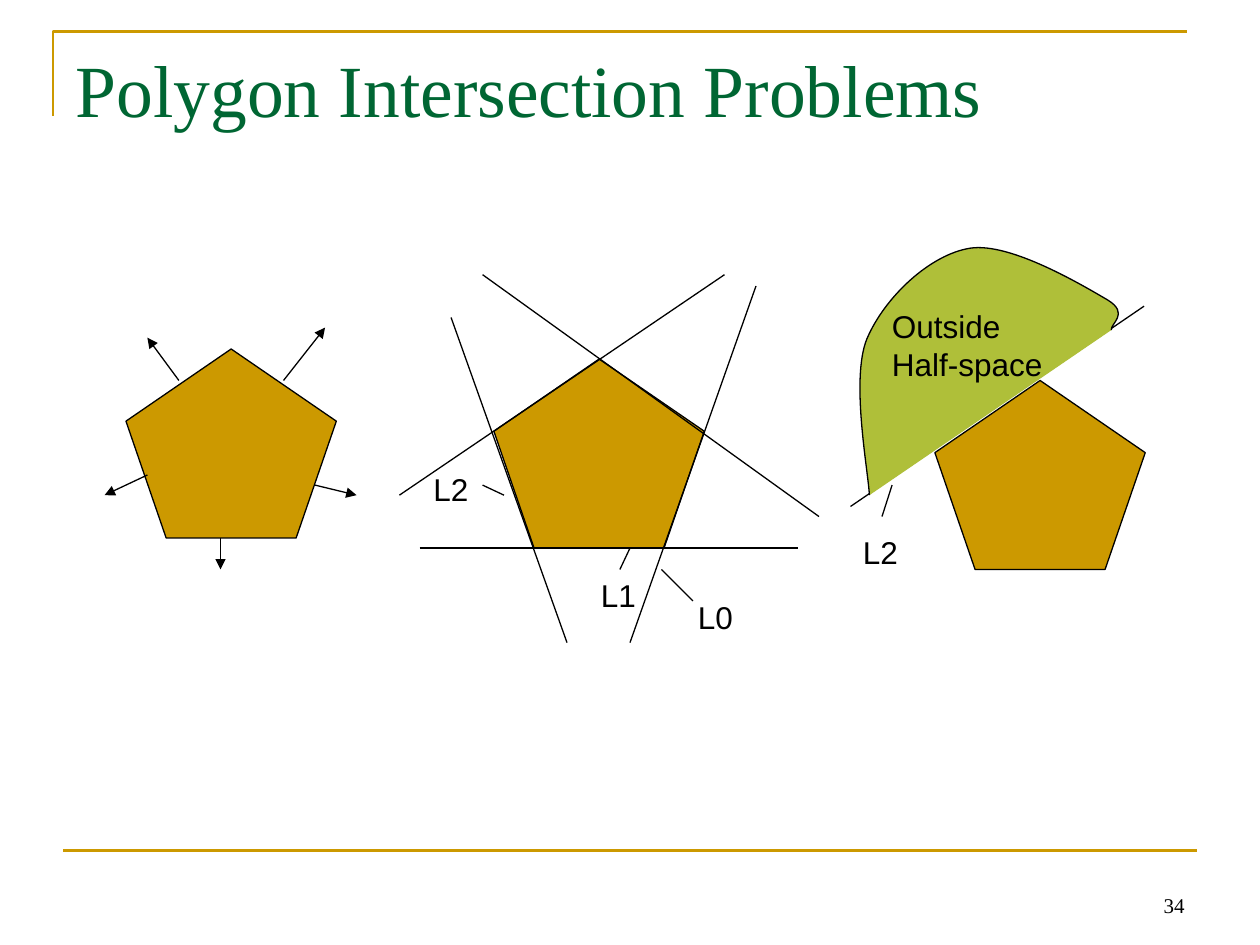
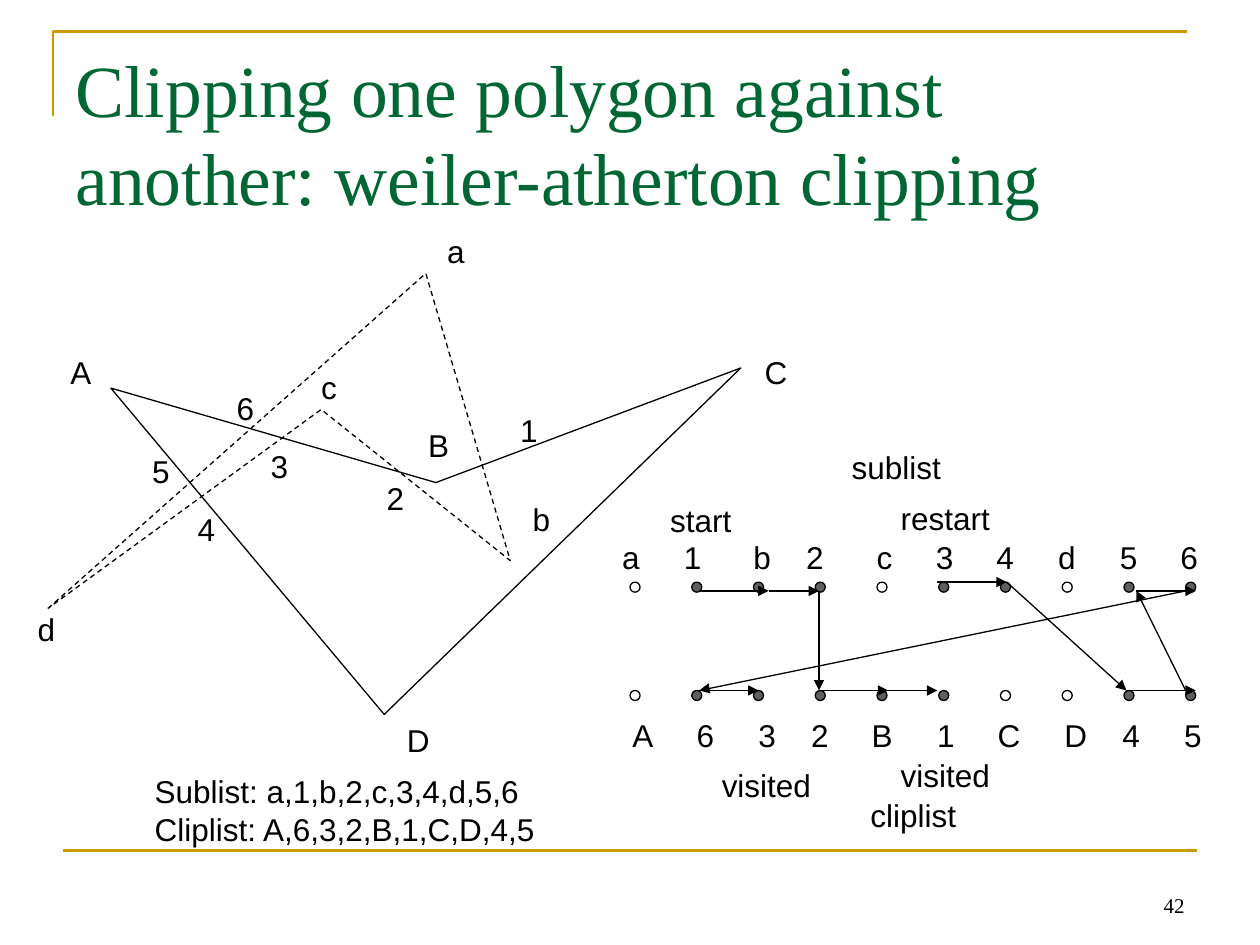
import pptx
import pptx.util
import pptx.dml.color
import pptx.enum.dml
import pptx.enum.shapes
import pptx.enum.text
import pptx.oxml
import pptx.oxml.ns
from lxml import etree

Inches, Pt = pptx.util.Inches, pptx.util.Pt
SHAPE = pptx.enum.shapes.MSO_SHAPE
ALIGN = pptx.enum.text.PP_ALIGN
ANCHOR = pptx.enum.text.MSO_ANCHOR
qn = pptx.oxml.ns.qn

COLORS = {"title": "006633", "gold": "CC9900", "green": "AFBF39",
          "ink": "000000", "visited": "5F5F5F"}
TITLE_FONT, BODY_FONT = "Times New Roman", "Arial"

# ---- Content: polygon intersection (lengths in inches) ----
INTERSECTION = {
    "title": "Polygon Intersection Problems",
    "number": "34",
    "pentagons": [(1, 2.77), (3.92, 2.85), (7.42, 3.02)],
    "edge_lines": [
        ((3.58, 2.52), (4.5, 5.1)), ((3.33, 4.35), (6.33, 4.35)),
        ((5, 5.1), (6, 2.27)), ((3.17, 3.93), (5.75, 2.18)),
        ((6.5, 4.1), (3.83, 2.18)), ((6.75, 4.02), (9.08, 2.43))],
    "leaders": [
        ((4, 3.93), (3.83, 3.85)), ((4.92, 4.52), (5, 4.35)),
        ((5.5, 4.77), (5.25, 4.52)), ((7.08, 3.85), (7, 4.1))],
    "normals": [
        ((2.25, 3.02), (2.58, 2.6)), ((2.5, 3.85), (2.83, 3.93)),
        ((1.75, 4.27), (1.75, 4.52)), ((1.17, 3.77), (0.83, 3.93)),
        ((1.42, 3.02), (1.17, 2.68))],
    # Start point, then two control points and an end point per curve
    "half_space": [
        (6.9, 3.93),
        (6.89, 3.73), (6.75, 3.01), (6.88, 2.69),
        (7.02, 2.36), (7.38, 2.02), (7.7, 1.97),
        (8.02, 1.92), (8.6, 2.27), (8.79, 2.38),
        (8.97, 2.49), (8.81, 2.57), (8.82, 2.62)],
    "labels": [  # text, left, top, width
        ("L2", 3.34, 3.68, 0.48), ("L1", 4.67, 4.52, 0.48),
        ("L0", 5.44, 4.7, 0.48), ("L2", 6.75, 4.18, 0.48),
        ("Outside\nHalf-space", 6.98, 2.39, 1.39)],
}

# ---- Content: Weiler-Atherton clipping ----
CLIPPING = {
    "title": "Clipping one polygon against another: weiler-atherton clipping",
    "number": "42",
    "clip_polygon": [(0.88, 3.08), (3.05, 5.67), (5.88, 2.92), (3.46, 3.83)],
    "subject_polygon": [(0.38, 4.83), (3.38, 2.17), (4.05, 4.45), (2.55, 3.25)],
    "labels": [
        ("A", 0.46, 2.75, 0.36), ("B", 3.3, 3.33, 0.36),
        ("C", 5.97, 2.75, 0.38), ("D", 3.13, 5.67, 0.38),
        ("a", 3.45, 1.79, 0.34), ("b", 4.13, 3.92, 0.34),
        ("c", 2.45, 2.87, 0.32), ("d", 0.2, 4.79, 0.34),
        ("1", 4.03, 3.21, 0.34), ("2", 2.97, 3.75, 0.34),
        ("3", 2.05, 3.5, 0.34), ("4", 1.47, 4, 0.34),
        ("5", 1.11, 3.54, 0.34), ("6", 1.78, 3.04, 0.34),
        ("Sublist: a,1,b,2,c,3,4,d,5,6\nCliplist: A,6,3,2,B,1,C,D,4,5",
         1.13, 6.08, 3.23),
        ("sublist", 6.66, 3.51, 0.91), ("cliplist", 6.81, 6.27, 0.88),
        ("start", 5.22, 3.93, 0.68), ("restart", 7.05, 3.91, 0.91),
        ("visited", 5.63, 6.03, 0.91), ("visited", 7.05, 5.95, 0.91)],
    "vertex_lists": [
        {"names": "a1b2c34d56", "dots_top": 4.62, "at": (4.84, 4.22),
         "tabs": [0.49, 1.04, 1.46, 2.02, 2.49, 2.97, 3.46, 3.95, 4.43]},
        {"names": "A632B1CD45", "dots_top": 5.48, "at": (4.92, 5.63),
         "tabs": [0.51, 1, 1.42, 1.9, 2.42, 2.9, 3.43, 3.89, 4.38]}],
    "unvisited": "acdACD",
    "walks": [
        [(5.55, 4.69), (6.1, 4.69), (6.5, 4.69), (6.5, 5.48), (7.05, 5.48)],
        [(6.97, 5.48), (7.44, 5.48)],
        [(7.44, 4.62), (7.99, 4.62), (8.94, 5.48), (9.49, 5.48)],
        [(9.41, 5.48), (9.02, 4.69), (9.49, 4.69)],
        [(9.41, 4.69), (5.55, 5.48), (6.02, 5.48)]],
}
DOT_SIZE, DOT_LEFT, DOT_STEP = 0.08, 5, 0.49


# ---- Helpers ----
def rgb(name):
    return pptx.dml.color.RGBColor.from_string(COLORS[name])


def write(tf, text, font=BODY_FONT, size=18, color="ink", align=ALIGN.LEFT,
          anchor=ANCHOR.TOP, wrap=False, tabs=()):
    tf.word_wrap = wrap
    tf.auto_size = pptx.enum.text.MSO_AUTO_SIZE.NONE
    tf.vertical_anchor = anchor
    for i, line in enumerate(text.split("\n")):
        p = tf.add_paragraph() if i else tf.paragraphs[0]
        if tabs:
            tab_list = etree.SubElement(p._p.get_or_add_pPr(), qn("a:tabLst"))
            for pos in tabs:
                etree.SubElement(tab_list, qn("a:tab"), pos=str(Inches(pos)), algn="l")
        p.alignment = align
        r = p.add_run()
        r.text = line
        r.font.name, r.font.size = font, Pt(size)
        r.font.color.rgb = rgb(color)


def add_text(slide, text, x, y, w, h=None, **fmt):
    h = h or 0.4 + 0.3 * text.count("\n")
    sp = slide.shapes.add_textbox(Inches(x), Inches(y), Inches(w), Inches(h))
    write(sp.text_frame, text, **fmt)


def paint(sp, fill=None, line="ink", width=0.75):
    sp.shadow.inherit = False
    if fill:
        sp.fill.solid()
        sp.fill.fore_color.rgb = rgb(fill)
    else:
        sp.fill.background()
    sp.line.color.rgb = rgb(line)
    sp.line.width = Pt(width)
    return sp


def add_shape(slide, kind, x, y, w, h, fill=None):
    return paint(slide.shapes.add_shape(kind, Inches(x), Inches(y), Inches(w), Inches(h)), fill)


def add_outline(slide, points, close=True, **style):
    pts = [(Inches(x), Inches(y)) for x, y in points]
    builder = slide.shapes.build_freeform(*pts[0])
    builder.add_line_segments(pts[1:], close=close)
    return paint(builder.convert_to_shape(), **style)


def add_line(slide, start, end, color="ink", width=0.75, arrow=False):
    cx = slide.shapes.add_connector(pptx.enum.shapes.MSO_CONNECTOR.STRAIGHT,
                                    *(Inches(v) for v in start + end))
    cx.line.color.rgb = rgb(color)
    cx.line.width = Pt(width)
    if arrow:
        etree.SubElement(cx.line._get_or_add_ln(), qn("a:tailEnd"), type="triangle")
    etree.SubElement(cx._element.spPr, qn("a:effectLst"))
    return cx


def bend(sp):
    """Turn each three straight segments of an outline into one Bezier curve."""
    outline = next(sp._element.iter(qn("a:path")))
    segments = outline.findall(qn("a:lnTo"))
    for i in range(0, len(segments), 3):
        curve = etree.SubElement(outline, qn("a:cubicBezTo"))
        for segment in segments[i:i + 3]:
            curve.append(segment[0])
            outline.remove(segment)


# ---- Shared frame, title and page number ----
def add_frame(slide):
    """Draw the gold rules once and hand them to the layout."""
    corner = add_outline(slide, [(0.42, 0.92), (0.42, 0.25), (9.42, 0.25)],
                         close=False, line="gold", width=1.5)
    rule = add_line(slide, (0.5, 6.75), (9.5, 6.75), color="gold", width=1.5)
    for sp in (corner, rule):
        slide.slide_layout.shapes._spTree.append(sp._element)


def new_slide(prs, content):
    slide = prs.slides.add_slide(prs.slide_layouts.get_by_name("Title Only"))
    title = slide.shapes.title
    title.left, title.top = Inches(0.5), Inches(0.3)
    title.width, title.height = Inches(9), Inches(1.25)
    write(title.text_frame, content["title"], font=TITLE_FONT, size=42,
          color="title", wrap=True)
    add_text(slide, content["number"], 7.17, 6.83, 2.33, 0.5, font=TITLE_FONT,
             size=12, align=ALIGN.RIGHT, anchor=ANCHOR.BOTTOM, wrap=True)
    return slide


# ---- Slides ----
def build_intersection(prs):
    c = INTERSECTION
    slide = new_slide(prs, c)
    add_frame(slide)
    for x, y in c["pentagons"]:
        add_shape(slide, SHAPE.REGULAR_PENTAGON, x, y, 1.67, 1.5, fill="gold")
    for start, end in c["edge_lines"]:
        add_line(slide, start, end)
    bend(add_outline(slide, c["half_space"], close=False, fill="green"))
    for start, end in c["leaders"]:
        add_line(slide, start, end)
    for start, end in c["normals"]:
        add_line(slide, start, end, arrow=True)
    for label in c["labels"]:
        add_text(slide, *label)


def build_clipping(prs):
    c = CLIPPING
    slide = new_slide(prs, c)
    add_outline(slide, c["clip_polygon"])
    subject = add_outline(slide, c["subject_polygon"])
    subject.line.dash_style = pptx.enum.dml.MSO_LINE.DASH
    for label in c["labels"]:
        add_text(slide, *label)

    # Vertex lists: a row of dots with tabbed names
    for row in c["vertex_lists"]:
        for i, name in enumerate(row["names"]):
            fill = None if name in c["unvisited"] else "visited"
            add_shape(slide, SHAPE.OVAL, DOT_LEFT + i * DOT_STEP, row["dots_top"],
                      DOT_SIZE, DOT_SIZE, fill)
        add_text(slide, "\t".join(row["names"]), *row["at"], 4.96,
                 wrap=True, tabs=row["tabs"])

    # Walks through the lists
    for walk in c["walks"]:
        for start, end in zip(walk, walk[1:]):
            add_line(slide, start, end, arrow=True)


def main():
    prs = pptx.Presentation()
    prs.slide_width, prs.slide_height = Inches(10), Inches(7.5)
    build_intersection(prs)
    build_clipping(prs)
    prs.save("out.pptx")


if __name__ == "__main__":
    main()
